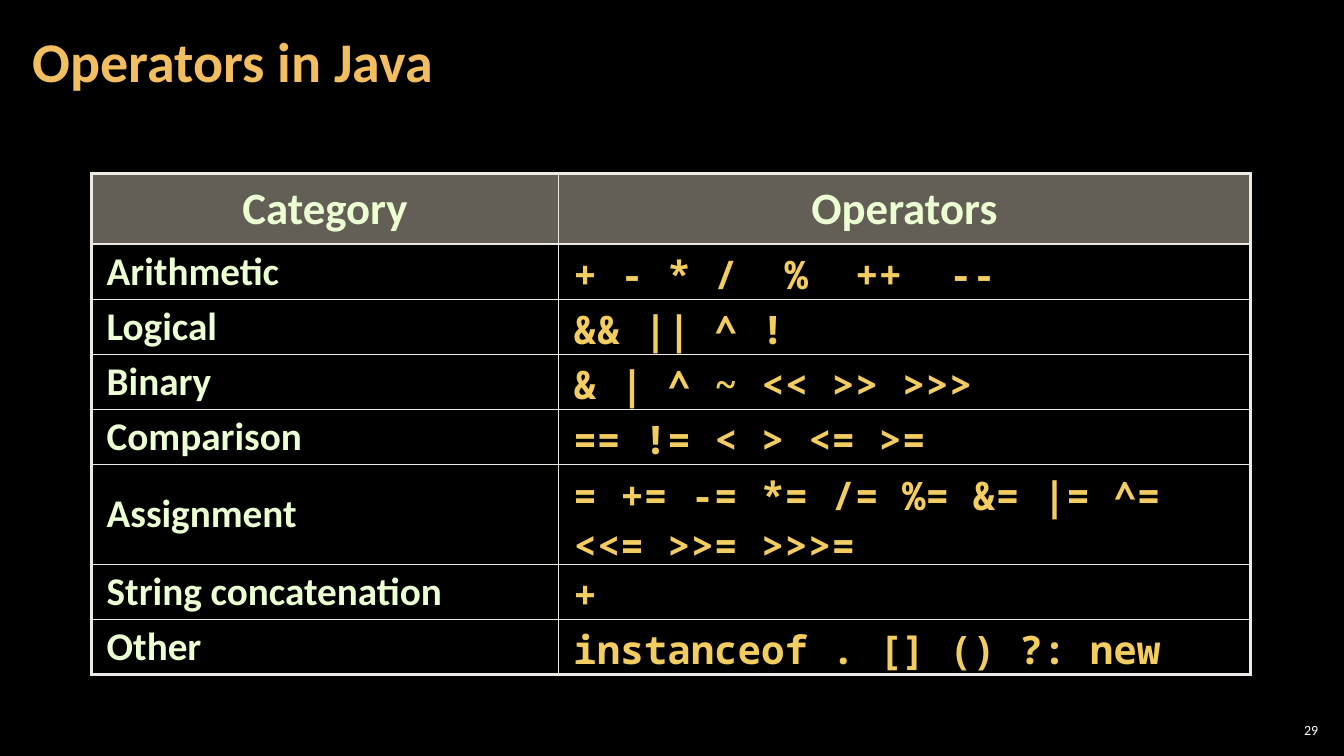
from lxml.etree import SubElement
from pptx import Presentation
from pptx.dml.color import RGBColor
from pptx.enum.text import MSO_ANCHOR, PP_ALIGN
from pptx.oxml import parse_xml
from pptx.oxml.ns import nsdecls, qn
from pptx.util import Cm, Pt

HEADINGS = ("Category", "Operators")
OPERATORS = [
    ("Arithmetic", "+ - * /  %  ++  --"),
    ("Logical", "&& || ^ !"),
    ("Binary", "& | ^ ~ << >> >>>"),
    ("Comparison", "== != < > <= >="),
    ("Assignment", "= += -= *= /= %= &= |= ^= <<= >>= >>>="),
    ("String concatenation", "+"),
    ("Other", "instanceof . [] () ?: new"),
]
COLUMN_WIDTHS = (11.76, 17.45)
ROW_HEIGHTS = (1.78, 1.37, 1.37, 1.37, 1.37, 2.49, 1.37, 1.37)
TITLE = {"name": "Calibri", "size": Pt(40), "bold": True}
HEADING = {"name": "Calibri", "size": Pt(32), "bold": True}
CATEGORY = {"name": "Calibri", "size": Pt(28), "bold": True}
CODE = {"name": "Noto Sans Mono", "size": Pt(28), "bold": True}
PAGE = {"name": "Calibri", "size": Pt(10)}
CELL_MARGINS = {
    "margin_left": Cm(0.38),
    "margin_right": Cm(0.38),
    "margin_top": Cm(0.13),
    "margin_bottom": Cm(0.13),
    "vertical_anchor": MSO_ANCHOR.MIDDLE,
}


def paint(color_format, hex_color):
    color_format.rgb = RGBColor.from_string(hex_color)


def apply(target, values):
    for attribute, value in values.items():
        setattr(target, attribute, value)


def write(frame, text, style, hex_color, align, spacing):
    paragraph = frame.paragraphs[0]
    apply(paragraph, {"alignment": align, "line_spacing": spacing})
    run = paragraph.add_run()
    run.text = text
    apply(run.font, style)
    paint(run.font.color, hex_color)


def add_label(slide, place, text, style, hex_color, align, spacing, side_margin):
    frame = slide.shapes.add_textbox(*map(Cm, place)).text_frame
    apply(frame, {
        "word_wrap": True,
        "vertical_anchor": MSO_ANCHOR.MIDDLE,
        "margin_left": Cm(side_margin),
        "margin_right": Cm(side_margin),
        "margin_top": Cm(0.1),
        "margin_bottom": Cm(0.1),
    })
    write(frame, text, style, hex_color, align, spacing)


def set_borders(cell, widths):
    properties = cell._tc.get_or_add_tcPr()
    for position, (side, width) in enumerate(widths.items()):
        properties.insert(position, parse_xml(
            f'<a:ln{side} {nsdecls("a")} w="{Pt(width)}"><a:solidFill>'
            f'<a:srgbClr val="ECEAE3"/></a:solidFill></a:ln{side}>'))


def fill_heading(cell):
    cell.fill.solid()
    paint(cell.fill.fore_color, "C7BFAC")
    tint = cell._tc.tcPr.find(".//" + qn("a:srgbClr"))
    SubElement(tint, qn("a:alpha"), val="50000")


def add_operator_table(slide):
    rows = [HEADINGS] + OPERATORS
    last_row = len(rows) - 1
    table = slide.shapes.add_table(
        len(rows), 2, Cm(2.31), Cm(4.37),
        Cm(sum(COLUMN_WIDTHS)), Cm(sum(ROW_HEIGHTS))).table
    apply(table, {"first_row": False, "horz_banding": False})
    for column, width in zip(table.columns, COLUMN_WIDTHS):
        column.width = Cm(width)
    for row, height in zip(table.rows, ROW_HEIGHTS):
        row.height = Cm(height)
    for r, entries in enumerate(rows):
        for c, text in enumerate(entries):
            cell = table.cell(r, c)
            apply(cell, CELL_MARGINS)
            if r == 0:
                fill_heading(cell)
                style, hex_color, align = HEADING, "EBFFD2", PP_ALIGN.CENTER
            else:
                cell.fill.background()
                style, hex_color = ((CATEGORY, "EBFFD2"), (CODE, "F3CD60"))[c]
                align = PP_ALIGN.LEFT
            write(cell.text_frame, text, style, hex_color, align, 0.95)
            set_borders(cell, {
                "L": 2.25 if c == 0 else 1,
                "R": 2.25 if c == 1 else 1,
                "T": 2.25 if r <= 1 else 1,
                "B": 2.25 if r in (0, last_row) else 1,
            })


def main():
    deck = Presentation()
    apply(deck, {"slide_width": Cm(33.87), "slide_height": Cm(19.05)})
    slide = deck.slides.add_slide(deck.slide_layouts[6])
    slide.background.fill.solid()
    paint(slide.background.fill.fore_color, "000000")
    add_label(slide, (32.13, 18.14, 1.19, 0.53), "29", PAGE, "FFFFFF",
              PP_ALIGN.RIGHT, 1.0, 0.1)
    add_operator_table(slide)
    add_label(slide, (0.53, 0.1, 26.59, 3.07), "Operators in Java", TITLE,
              "F3BE60", PP_ALIGN.LEFT, 0.9, 0.3)
    deck.save("out.pptx")


if __name__ == "__main__":
    main()
